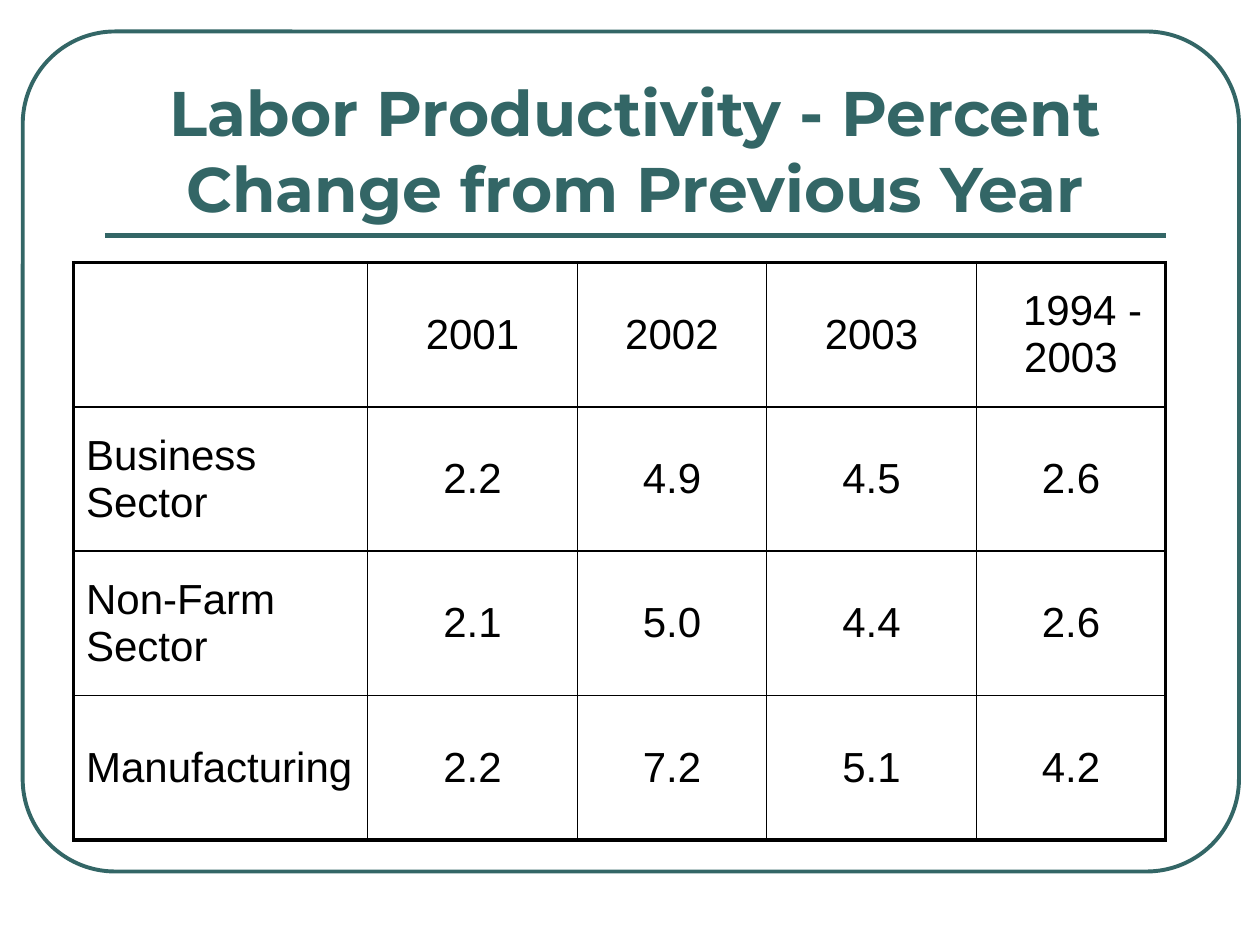
"""Builds a slide with a table of labor productivity changes."""
from lxml import etree
from pptx import Presentation
from pptx.dml.color import RGBColor
from pptx.enum.shapes import MSO_CONNECTOR, MSO_SHAPE
from pptx.enum.text import MSO_ANCHOR, PP_ALIGN
from pptx.oxml.ns import qn
from pptx.util import Pt

TEAL = RGBColor(0x33, 0x66, 0x66)
BLACK = RGBColor(0, 0, 0)
LEFT, CENTER = PP_ALIGN.LEFT, PP_ALIGN.CENTER
MIDDLE, BOTTOM = MSO_ANCHOR.MIDDLE, MSO_ANCHOR.BOTTOM
ROUNDED, STRAIGHT = MSO_SHAPE.ROUNDED_RECTANGLE, MSO_CONNECTOR.STRAIGHT
THIN, THICK = 1, 2.25

COL_WIDTHS = [168, 120, 108, 120, 108]
ROW_HEIGHT = 82.5
ROWS = [
    ["", "2001", "2002", "2003", "1994 - 2003"],
    ["Business Sector", "2.2", "4.9", "4.5", "2.6"],
    ["Non-Farm Sector", "2.1", "5.0", "4.4", "2.6"],
    ["Manufacturing", "2.2", "7.2", "5.1", "4.2"],
]


def write(tf, text, font="Arial", size=24, color=BLACK, bold=False,
          align=CENTER, before=0, indent=0):
    p = tf.paragraphs[0]
    p.alignment = align
    p.space_before = Pt(before)
    if indent:
        p._p.get_or_add_pPr().set("indent", str(Pt(indent)))
    r = p.add_run()
    r.text = text
    r.font.name, r.font.size, r.font.bold = font, Pt(size), bold
    r.font.color.rgb = color


class Slide:
    def __init__(self, prs, accent=TEAL, heading_font="Montserrat"):
        self.s = prs.slides.add_slide(prs.slide_layouts[6])
        self.accent, self.heading_font = accent, heading_font

    def frame(self, x, y, w, h, radius, weight):
        sp = self.s.shapes.add_shape(ROUNDED, Pt(x), Pt(y), Pt(w), Pt(h))
        sp.shadow.inherit = False
        sp.adjustments[0] = radius
        sp.fill.background()
        sp.line.color.rgb = self.accent
        sp.line.width = Pt(weight)

    def rule(self, x1, x2, y, weight):
        sp = self.s.shapes.add_connector(STRAIGHT, Pt(x1), Pt(y), Pt(x2), Pt(y))
        sp.line.color.rgb = self.accent
        sp.line.width = Pt(weight)
        etree.SubElement(sp._element.spPr, qn("a:effectLst"))

    def title(self, text, x, y, w, h):
        tf = self.s.shapes.add_textbox(Pt(x), Pt(y), Pt(w), Pt(h)).text_frame
        tf.word_wrap = True
        tf.vertical_anchor = BOTTOM
        write(tf, text, self.heading_font, 36, self.accent, bold=True)

    def border(self, cell, side, weight):
        ln = etree.SubElement(cell._tc.get_or_add_tcPr(), qn("a:ln" + side),
                              w=str(Pt(weight)))
        fill = etree.SubElement(ln, qn("a:solidFill"))
        etree.SubElement(fill, qn("a:srgbClr"), val=str(BLACK))

    def table(self, rows, x, y, widths, height):
        n, m = len(rows), len(widths)
        table = self.s.shapes.add_table(n, m, Pt(x), Pt(y), Pt(sum(widths)),
                                        Pt(n * height)).table
        table.first_row = table.horz_banding = False
        for col, width in zip(table.columns, widths):
            col.width = Pt(width)
        for i, values in enumerate(rows):
            table.rows[i].height = Pt(height)
            for j, value in enumerate(values):
                cell = table.cell(i, j)
                cell.vertical_anchor = MIDDLE
                outer = {"L": j == 0, "R": j == m - 1,
                         "T": i == 0, "B": i == n - 1}
                for side, edge in outer.items():
                    self.border(cell, side, THICK if edge else THIN)
                cell.fill.background()
                if value:
                    write(cell.text_frame, value, before=2,
                          align=CENTER if j else LEFT,
                          indent=13.33 if outer["T"] and outer["R"] else 0)


prs = Presentation()
prs.slide_width, prs.slide_height = Pt(720), Pt(540)
slide = Slide(prs)
slide.frame(13, 18, 695, 480, 0.11, 2.25)
slide.rule(60, 666, 134.5, 3)
slide.title("Labor Productivity - Percent Change from Previous Year",
            60, 42, 606, 90)
slide.table(ROWS, 42, 150, COL_WIDTHS, ROW_HEIGHT)
prs.save("out.pptx")
